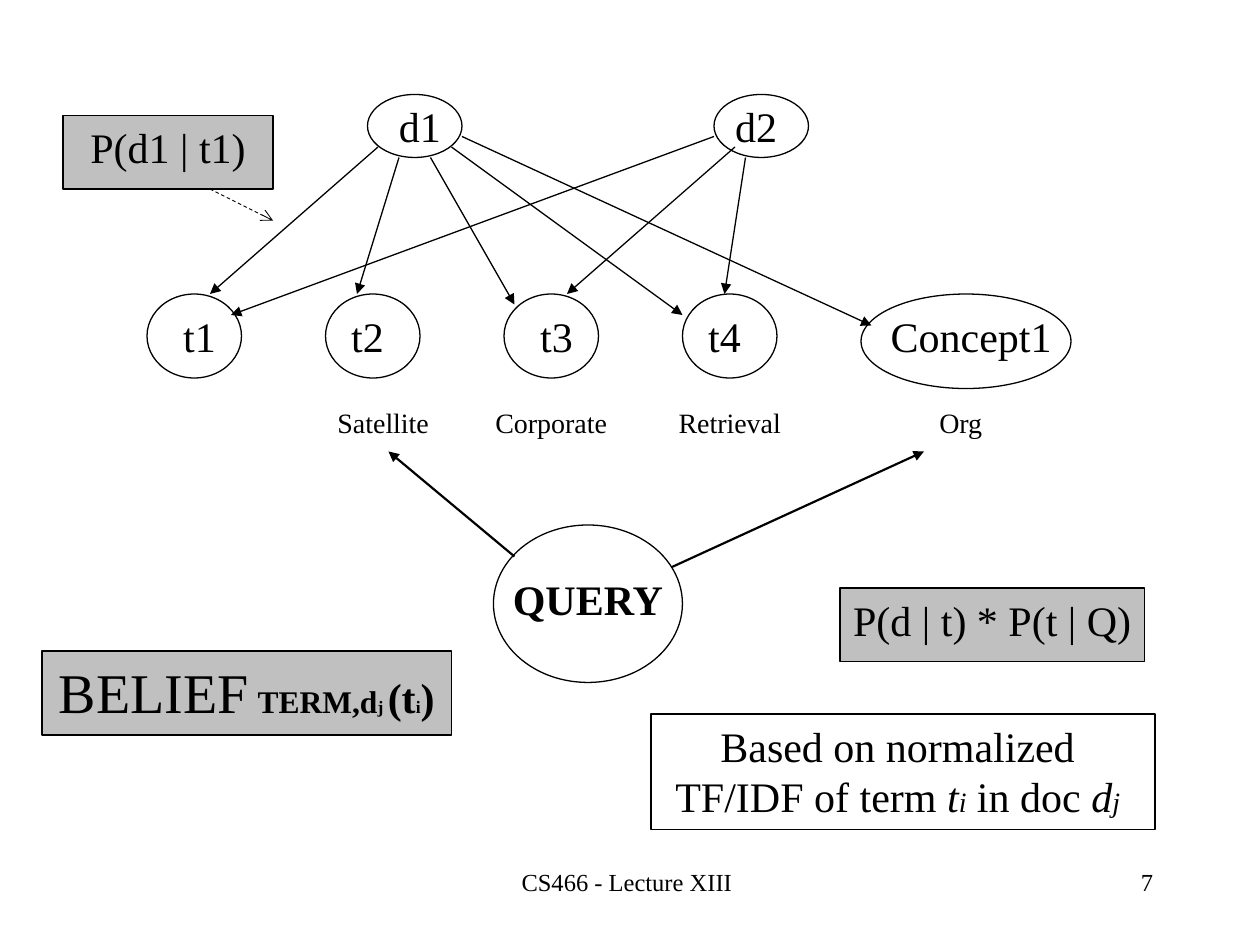
from lxml import etree
from pptx import Presentation
from pptx import util as u
from pptx.dml.color import RGBColor
from pptx.enum import dml, shapes, text
from pptx.oxml import ns

COLORS = {name: RGBColor.from_string(code) for name, code in
          {"ink": "000000", "paper": "FFFFFF", "gray": "C0C0C0"}.items()}
FONT = "Times New Roman"
RECT, OVAL = shapes.MSO_SHAPE.RECTANGLE, shapes.MSO_SHAPE.OVAL
CENTER, RIGHT = text.PP_ALIGN.CENTER, text.PP_ALIGN.RIGHT

deck = Presentation()
deck.slide_width, deck.slide_height = u.Inches(10), u.Inches(7.5)
page = deck.slides.add_slide(deck.slide_layouts[6])
CELL = deck.slide_width / 120  # the grid has 120 columns and 90 rows


def grid(*cells):
    return [round(cell * CELL) for cell in cells]


def add_text(place, spans, align=CENTER):
    """Add a one-paragraph text box; each span is (words, font values)."""
    box = page.shapes.add_textbox(*grid(*place))
    box.text_frame.word_wrap = True
    para = box.text_frame.paragraphs[0]
    para.alignment = align
    for words, values in spans:
        span = para.add_run()
        span.text = words
        span.font.color.rgb = COLORS["ink"]
        for key, value in {"name": FONT, "size": u.Pt(24), **values}.items():
            setattr(span.font, key, value)


# Outlines: documents, terms, query and formula panels
TERM_COLUMNS = [14 + 17 * i for i in range(4)]
outlines = [
    (RECT, "paper", (62, 68, 48, 11)),
    (RECT, "gray", (4, 62, 39, 8)),
    (RECT, "gray", (80, 56, 29, 7)),
    (RECT, "gray", (6, 11, 20, 7)),
    *[(OVAL, "paper", (column, 9, 9, 6)) for column in (35, 68)],
    *[(OVAL, "paper", (column, 28, 9, 8)) for column in TERM_COLUMNS],
    (OVAL, "paper", (82, 28, 20, 9)),
    (OVAL, "paper", (47, 50, 18, 15)),
]
for kind, fill, place in outlines:
    shape = page.shapes.add_shape(kind, *grid(*place))
    shape.shadow.inherit = False
    shape.fill.solid()
    shape.fill.fore_color.rgb = COLORS[fill]
    shape.line.color.rgb = COLORS["ink"]
    shape.line.width = u.Pt(0.75)

# Arrows: (start column, start row, end column, end row)
document_links = [
    (36, 14, 20, 28), (38, 15, 34, 28), (41, 15, 49, 29), (43, 14, 65, 30),
    (44, 13, 83, 31), (68, 13, 22, 30), (70, 14, 54, 28), (71, 15, 69, 28),
]
query_links = [(64, 54, 88, 43), (49, 53, 37, 43)]
formula_links = [(20, 18, 26, 21)]
for links, width, head, dash in [
    (document_links, 0.75, "triangle", None),
    (query_links, 1.25, "triangle", None),
    (formula_links, 0.5, "arrow", dml.MSO_LINE.DASH),
]:
    for ends in links:
        arrow = page.shapes.add_connector(shapes.MSO_CONNECTOR.STRAIGHT, *grid(*ends))
        arrow.line.color.rgb = COLORS["ink"]
        arrow.line.width = u.Pt(width)
        arrow.line.dash_style = dash
        etree.SubElement(arrow.line._get_or_add_ln(), ns.qn("a:tailEnd"), type=head)
        etree.SubElement(arrow._element.spPr, ns.qn("a:effectLst"))

# Names inside the ovals and panels
for words, place in [
    ("d1", (35, 9, 10, 6)), ("d2", (67, 9, 10, 6)),
    ("t1", (14, 29, 10, 6)), ("t2", (30, 29, 10, 6)),
    ("t3", (48, 29, 10, 6)), ("t4", (64, 29, 10, 6)),
    ("Concept1", (80, 29, 25, 6)),
    ("P(d1 | t1)", (7, 11, 18, 6)),
    ("P(d | t) * P(t | Q)", (78, 56, 33, 6)),
]:
    add_text(place, [(words, {})])
add_text((47, 54, 18, 6), [("QUERY", {"bold": True})])

# Example words below the terms
for words, column in [("Satellite", 29), ("Corporate", 45), ("Retrieval", 62), ("Org", 84)]:
    add_text((column, 38, 15, 4.4), [(words, {"size": u.Pt(16)})])

add_text((4, 62, 39, 7.7), [
    ("BELIEF", {"size": u.Pt(32)}),
    (" ", {"size": u.Pt(20)}),
    ("TERM,d", {"size": u.Pt(18), "bold": True}),
    ("j ", {"size": u.Pt(10), "bold": True}),
    ("(t", {"bold": True}),
    ("i", {"size": u.Pt(10), "bold": True}),
    (")", {"bold": True}),
])
add_text((62, 68, 47, 10.8), [
    ("Based on normalized TF/IDF of term ", {}),
    ("t", {"italic": True}),
    ("i", {"size": u.Pt(16), "italic": True}),
    (" in doc ", {}),
    ("d", {"italic": True}),
    ("j", {"size": u.Pt(16), "italic": True}),
])

# Footer
add_text((41, 82, 38, 6), [("CS466 - Lecture XIII ", {"size": u.Pt(14)})])
add_text((86, 82, 25, 6), [("7", {"size": u.Pt(14)})], RIGHT)

deck.save("out.pptx")
